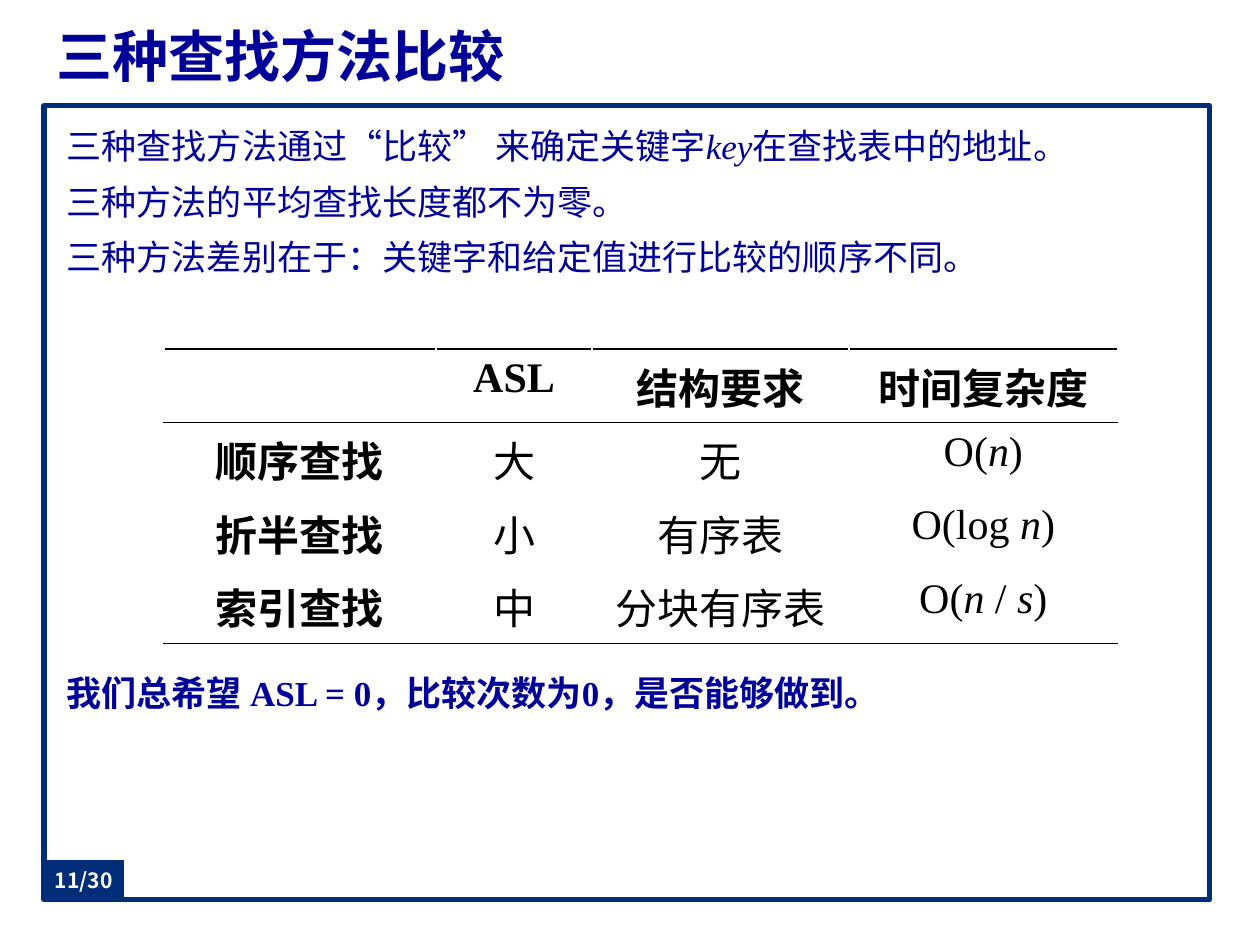
from dataclasses import dataclass

from lxml.etree import SubElement
from pptx import Presentation
from pptx.dml.color import RGBColor
from pptx.enum.shapes import MSO_SHAPE
from pptx.enum.text import MSO_ANCHOR, MSO_AUTO_SIZE, PP_ALIGN
from pptx.oxml.ns import qn
from pptx.util import Inches, Pt


@dataclass(frozen=True)
class Theme:
    blue: str = "000099"
    navy: str = "012D78"
    black: str = "000000"
    white: str = "FFFFFF"
    latin: str = "Times New Roman"
    cjk: str = "Noto Sans CJK SC"
    title: int = 32
    body: int = 20
    table: int = 24
    page: int = 12


T = Theme()


def write(p, text, size, color, bold=False, font=T.latin):
    """Fill a paragraph; parts between asterisks become italic."""
    for i, part in enumerate(text.split("*")):
        r = p.add_run()
        r.text = part
        f = r.font
        f.size, f.bold, f.italic, f.name = Pt(size), bold, i % 2 == 1, font
        f.color.rgb = RGBColor.from_string(color)
        SubElement(r._r.get_or_add_rPr(), qn("a:ea"), typeface=T.cjk)


def add_rule(cell, side):
    """Draw a black line on the top (lnT) or bottom (lnB) edge of a cell."""
    ln = SubElement(cell._tc.get_or_add_tcPr(), qn(f"a:{side}"), w=str(Pt(1)))
    fill = SubElement(ln, qn("a:solidFill"))
    SubElement(fill, qn("a:srgbClr"), val=T.black)


prs = Presentation()
prs.slide_width, prs.slide_height = Inches(10), Inches(7.5)
s = prs.slides.add_slide(prs.slide_layouts[1])
left, width = Inches(0.35), Inches(9.25)
frame_top, frame_height = Inches(0.84), Inches(6.3)
tab_height = Inches(0.31)

# Frame and page number tab
frame = s.shapes.add_shape(MSO_SHAPE.RECTANGLE, left, frame_top, width, frame_height)
tab = s.shapes.add_shape(MSO_SHAPE.RECTANGLE, left,
                         frame_top + frame_height - tab_height, Inches(0.63), tab_height)
for sp, fill, weight in ((frame, T.white, 3), (tab, T.navy, 0.75)):
    sp.shadow.inherit = False
    sp.fill.solid()
    sp.fill.fore_color.rgb = RGBColor.from_string(fill)
    sp.line.color.rgb = RGBColor.from_string(T.navy)
    sp.line.width = Pt(weight)
s.shapes._spTree.insert(2, frame._element)  # behind the placeholders

tf = tab.text_frame
tf.margin_left = tf.margin_right = tf.margin_top = tf.margin_bottom = 0
tf.vertical_anchor = MSO_ANCHOR.MIDDLE
tf.paragraphs[0].alignment = PP_ALIGN.CENTER
write(tf.paragraphs[0], "11/30", T.page, T.white, bold=True, font=T.cjk)

# Title
title = s.shapes.title
title.left, title.top, title.width, title.height = left, Inches(0.13), width, Inches(0.62)
tf = title.text_frame
tf.auto_size = MSO_AUTO_SIZE.NONE
tf.vertical_anchor = MSO_ANCHOR.MIDDLE
tf.paragraphs[0].alignment = PP_ALIGN.JUSTIFY
write(tf.paragraphs[0], "三种查找方法比较", T.title, T.blue, bold=True)

# Body: the last paragraph stands below the table
body = s.placeholders[1]
body.left, body.top, body.width, body.height = map(Inches, (0.43, 0.92, 9.06, 6.14))
tf = body.text_frame
tf.auto_size = MSO_AUTO_SIZE.NONE
tf.margin_left = tf.margin_right = tf.margin_bottom = Inches(0.1)
tf.margin_top = Inches(0.13)
PARAGRAPHS = [  # text, space before, bold
    ("三种查找方法通过“比较” 来确定关键字*key*在查找表中的地址。", 0, False),
    ("三种方法的平均查找长度都不为零。", 6, False),
    ("三种方法差别在于：关键字和给定值进行比较的顺序不同。", 6, False),
    ("我们总希望 ASL = 0，比较次数为0，是否能够做到。", 223, True),
]
for i, (text, before, bold) in enumerate(PARAGRAPHS):
    p = tf.add_paragraph() if i else tf.paragraphs[0]
    p.line_spacing, p.space_before, p.space_after = 0.82, Pt(before), Pt(6)
    pPr = p._p.get_or_add_pPr()
    pPr.set("marL", "0")
    pPr.set("indent", "0")
    SubElement(pPr, qn("a:buNone"))
    write(p, text, T.body, T.blue, bold)

# Comparison table
ROWS = [
    ("", "ASL", "结构要求", "时间复杂度"),
    ("顺序查找", "大", "无", "O(*n*)"),
    ("折半查找", "小", "有序表", "O(log *n*)"),
    ("索引查找", "中", "分块有序表", "O(*n* / *s*)"),
]
COLUMNS = (2.16, 1.24, 2.04, 2.13)
ROW_HEIGHT = 0.58
table = s.shapes.add_table(len(ROWS), len(COLUMNS), Inches(1.3), Inches(2.77),
                           Inches(sum(COLUMNS)), Inches(ROW_HEIGHT * len(ROWS))).table
table.first_row = table.horz_banding = False
for column, col_width in zip(table.columns, COLUMNS):
    column.width = Inches(col_width)
for r, row in enumerate(ROWS):
    for c, text in enumerate(row):
        cell = table.cell(r, c)
        if r in (0, 1):
            add_rule(cell, "lnT")
        if r in (0, len(ROWS) - 1):
            add_rule(cell, "lnB")
        cell.fill.background()
        p = cell.text_frame.paragraphs[0]
        p.alignment = PP_ALIGN.CENTER
        if text:
            write(p, text, T.table, T.black, bold=r == 0 or c == 0)

prs.save("out.pptx")
